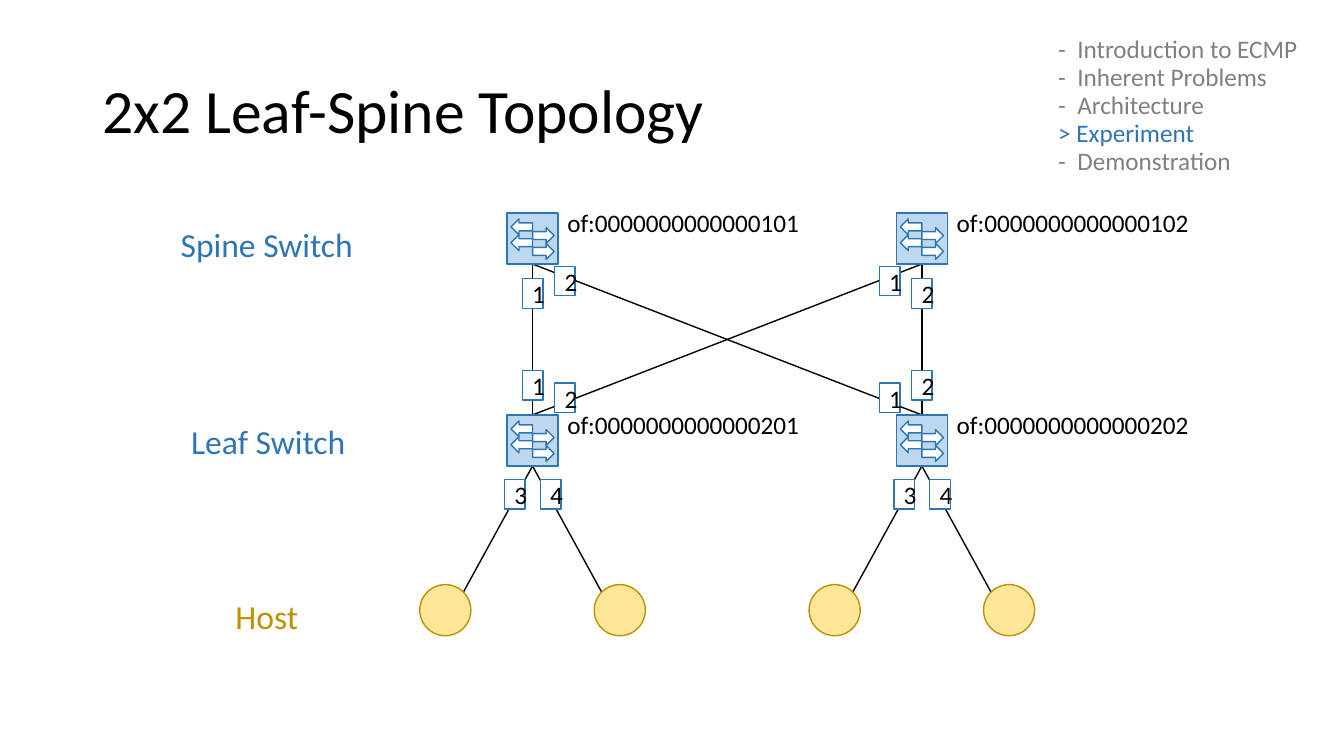
from lxml import etree
from pptx import Presentation
from pptx.dml.color import RGBColor
from pptx.enum import shapes, text
from pptx.oxml.ns import qn
from pptx.util import Pt

COLORS = {"black": "000000", "white": "FFFFFF", "gray": "808080", "blue": "2E75B6",
          "light_blue": "BDD7EE", "gold": "BF9000", "light_gold": "FFE699"}
NODE = 36.5
COLUMNS = [380.4, 658.5]
SPINE_TOP, LEAF_TOP, HOST_TOP = 152.1, 296.4, 417.6
HOST_OFFSET = 62.3
PORT_WIDTH, PORT_HEIGHT = 14.7, 21.1

deck = Presentation()
deck.slide_width, deck.slide_height = Pt(960), Pt(540)
page = deck.slides.add_slide(deck.slide_layouts[5])


def add_box(kind, left, top, width, height, fill, line):
    """Add a preset shape, or a text box when kind is None."""
    frame = [Pt(round(v, 2)) for v in (left, top, width, height)]
    if kind is None:
        return page.shapes.add_textbox(*frame)
    box = page.shapes.add_shape(kind, *frame)
    box.shadow.inherit = False
    box.fill.solid()
    box.fill.fore_color.rgb = RGBColor.from_string(COLORS[fill])
    box.line.color.rgb = RGBColor.from_string(COLORS[line])
    box.line.width = Pt(1)
    return box


def write(box, lines, size, color, align=text.PP_ALIGN.LEFT, wrap=True):
    box.text_frame.text = lines
    box.text_frame.word_wrap = wrap
    for para in box.text_frame.paragraphs:
        para.alignment = align
        for span in para.runs:
            span.font.name = "Calibri"
            span.font.size = Pt(size)
            span.font.color.rgb = RGBColor.from_string(COLORS[color])


# Title
title = page.shapes.title
title.left, title.top, title.width, title.height = Pt(66), Pt(28.75), Pt(828), Pt(104.4)
write(title, "2x2 Leaf-Spine Topology", 44, "black")
title.text_frame.vertical_anchor = text.MSO_ANCHOR.MIDDLE
title.text_frame.auto_size = text.MSO_AUTO_SIZE.NONE
title.text_frame.paragraphs[0].line_spacing = 0.9

# Links: every spine to every leaf, every leaf to its two hosts
links = [(spine, SPINE_TOP + NODE, leaf, LEAF_TOP) for spine in COLUMNS for leaf in COLUMNS]
for center in COLUMNS:
    for side in (-1, 1):
        host_edge = center + side * (HOST_OFFSET - NODE * 0.354)
        links.append((center, LEAF_TOP + NODE, host_edge, HOST_TOP + NODE * 0.146))
for link in links:
    line = page.shapes.add_connector(shapes.MSO_CONNECTOR.STRAIGHT,
                                     *[Pt(round(v, 2)) for v in link])
    line.line.color.rgb = RGBColor.from_string(COLORS["black"])
    line.line.width = Pt(1)
    etree.SubElement(line._element.spPr, qn("a:effectLst"))

# Switches with their arrows and identifiers
for row, top in enumerate((SPINE_TOP, LEAF_TOP), start=1):
    for column, center in enumerate(COLUMNS, start=1):
        add_box(shapes.MSO_SHAPE.RECTANGLE, center - NODE / 2, top, NODE, NODE,
                "light_blue", "blue")
        for kind, left, first in ((shapes.MSO_SHAPE.LEFT_ARROW, center - 15.4, 4.3),
                                  (shapes.MSO_SHAPE.RIGHT_ARROW, center, 10.5)):
            for step in range(2):
                add_box(kind, left, top + first + step * 11.3, 15.4, 11.4, "white", "blue")
        label = add_box(None, center + 17.7, top - 7.6, 182, 29, None, None)
        write(label, f"of:0000000000000{row}0{column}", 18, "black", wrap=False)

# Hosts
for center in COLUMNS:
    for side in (-1, 1):
        add_box(shapes.MSO_SHAPE.OVAL, center + side * HOST_OFFSET - NODE / 2, HOST_TOP,
                NODE, NODE, "light_gold", "gold")

# Port numbers: straight and crossing links, then host links
for column, center in enumerate(COLUMNS, start=1):
    other = 3 - column
    cross = center + (23.1 if column == 1 else -23.1)
    ports = [(column, center, 199.1), (other, cross, 190.2),
             (column, center, 264.7), (other, cross, 273.7),
             (3, center - 12.7, 342.6), (4, center + 12.9, 342.6)]
    for number, middle, top in ports:
        port = add_box(shapes.MSO_SHAPE.RECTANGLE, middle - PORT_WIDTH / 2, top,
                       PORT_WIDTH, PORT_HEIGHT, "white", "blue")
        write(port, str(number), 18, "black", text.PP_ALIGN.CENTER)
        port.text_frame.vertical_anchor = text.MSO_ANCHOR.MIDDLE

# Row names
for name, left, top, color in (("Spine Switch", 106, 156.4, "blue"),
                               ("Leaf Switch", 107, 297.4, "blue"),
                               ("Host", 106, 421.9, "gold")):
    write(add_box(None, left, top, 169.2, 36, None, None), name, 24, color,
          text.PP_ALIGN.CENTER)

# Agenda with the current section highlighted
agenda = add_box(None, 748.8, 31.7, 205.2, 118, None, None)
write(agenda, "-  Introduction to ECMP\n-  Inherent Problems\n-  Architecture\n"
              "> Experiment\n-  Demonstration", 18, "gray")
for index, para in enumerate(agenda.text_frame.paragraphs):
    para.line_spacing = Pt(10)
    para.space_before = Pt(10 if index else 0)
    if para.text.startswith(">"):
        para.runs[0].font.color.rgb = RGBColor.from_string(COLORS["blue"])

deck.save("out.pptx")
